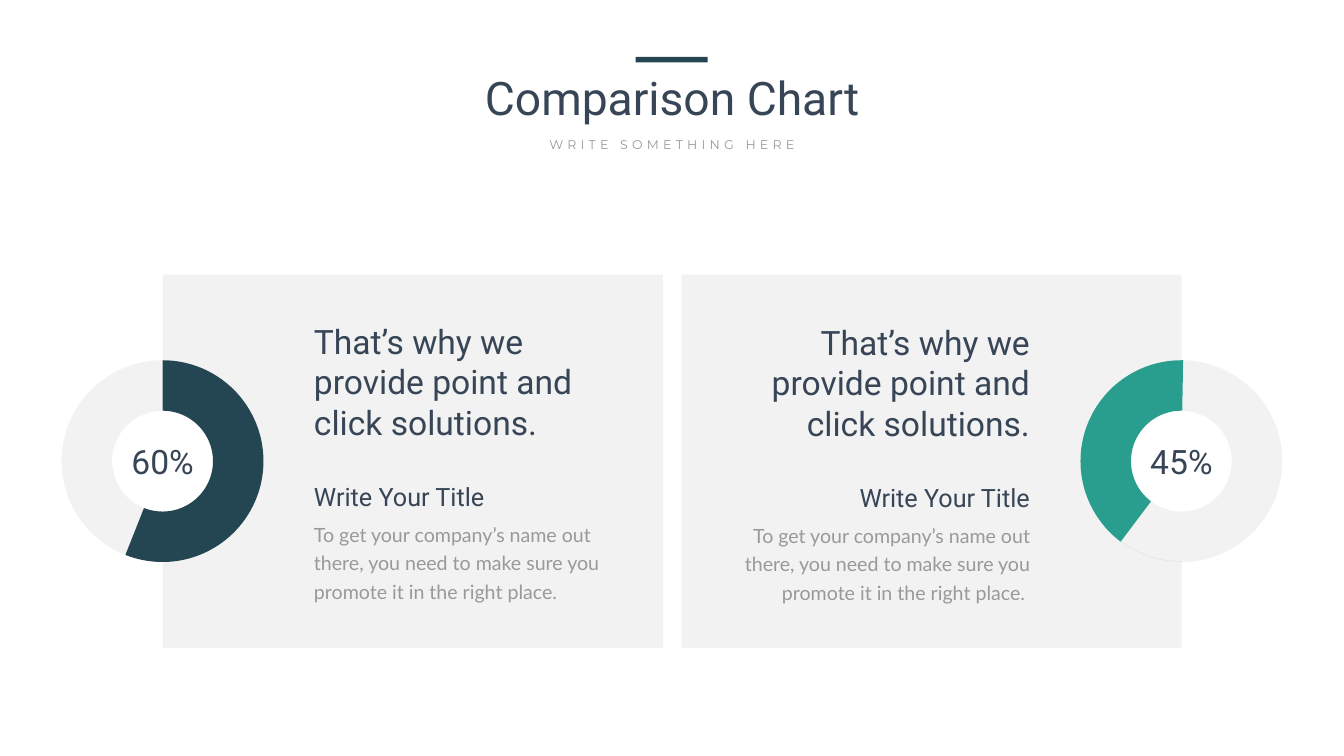
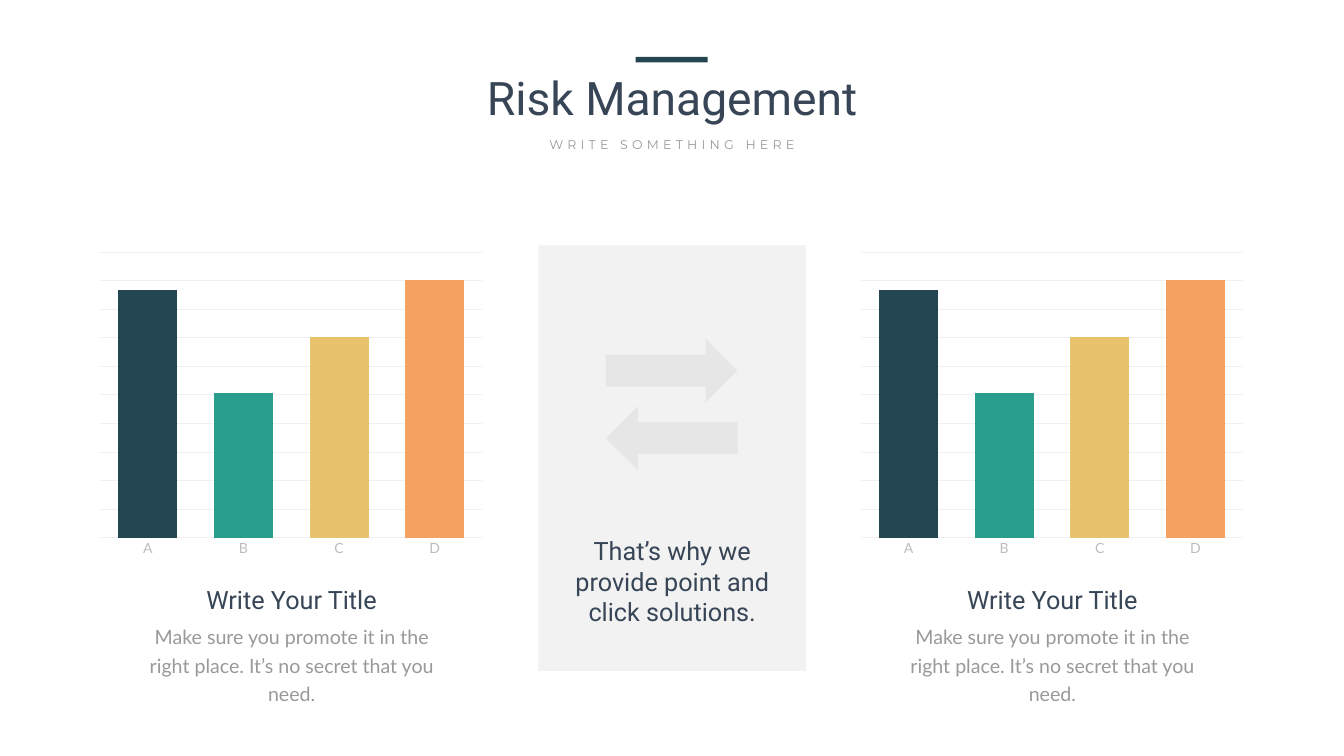
import pptx
import pptx.util
import pptx.chart.data
import pptx.dml.color
import pptx.enum.chart
import pptx.enum.shapes
import pptx.enum.text
import pptx.oxml
import pptx.oxml.ns

RGB = pptx.dml.color.RGBColor
PAPER = RGB(0xFE, 0xFF, 0xFE)
WHITE = RGB(0xFF, 0xFF, 0xFF)
INK = RGB(0x37, 0x45, 0x56)
MUTED = RGB(0x99, 0x99, 0x99)
LABEL = RGB(0xBD, 0xBD, 0xBD)
RULE = RGB(0xF0, 0xF0, 0xF0)
GREY = RGB(0x80, 0x80, 0x80)
NAVY = RGB(0x24, 0x46, 0x53)
TEAL = RGB(0x29, 0x9D, 0x8E)
YELLOW = RGB(0xE9, 0xC3, 0x6B)
ORANGE = RGB(0xF4, 0xA2, 0x60)

PX = 9144
VEIL = 10
SHAPE = pptx.enum.shapes.MSO_SHAPE
ALIGN = pptx.enum.text.PP_ALIGN
CHART = pptx.enum.chart.XL_CHART_TYPE
qn = pptx.oxml.ns.qn

SUBTITLE = "WRITE SOMETHING HERE"
SLOGAN = "That’s why we provide point and click solutions."
HEADING = "Write Your Title"
PLACE = "To get your company’s name out there, you need to make sure you promote it in the right place."
SECRET = "Make sure you promote it in the right place. It’s no secret that you need."

SIDES = [
    dict(panel=323, disc=(125, 719), ring=95, share="60%", label=(188, 869),
         values=(56, 44), start=0, color=NAVY, align=ALIGN.LEFT,
         text=613, heading=613, top=632, body=PLACE),
    dict(panel=1352, disc=(2144, 717), ring=2116, share="45%", label=(2209, 870),
         values=(40, 60), start=217, color=TEAL, align=ALIGN.RIGHT,
         text=1439, heading=1480, top=634, body=PLACE + " "),
]
BARS = [("A", 96, NAVY), ("B", 56, TEAL), ("C", 78, YELLOW), ("D", 100, ORANGE)]
BAR_LEFTS = [183, 1692]
GRID_STEP = 11.1


def box(*lengths):
    return [pptx.util.Emu(n * PX) for n in lengths]


def paint(fill, color, owner, alpha=None):
    fill.solid()
    fill.fore_color.rgb = color
    if alpha:
        clr = next(owner.iter(qn("a:srgbClr")))
        clr.append(pptx.oxml.parse_xml(
            f'<a:alpha {pptx.oxml.ns.nsdecls("a")} val="{alpha * 1000}"/>'))


def add_block(slide, kind, place, color, alpha=None):
    sp = slide.shapes.add_shape(kind, *box(*place))
    sp.shadow.inherit = False
    paint(sp.fill, color, sp._element, alpha)
    sp.line.fill.background()
    return sp


def write(sp, text, size, font="Roboto", color=INK, align=ALIGN.CENTER, pitch=None):
    tf = sp.text_frame
    tf.word_wrap = True
    tf.auto_size = pptx.enum.text.MSO_AUTO_SIZE.NONE
    tf.vertical_anchor = pptx.enum.text.MSO_ANCHOR.TOP
    tf.text = text
    p = tf.paragraphs[0]
    p.alignment = align
    if pitch:
        p.line_spacing = pptx.util.Pt(pitch)
    r = p.runs[0]
    r.font.size = pptx.util.Pt(size)
    r.font.name = font
    r.font.color.rgb = color
    return r


def add_text(slide, place, text, size, **style):
    return write(slide.shapes.add_textbox(*box(*place)), text, size, **style)


def add_body(slide, place, text, align):
    add_text(slide, place, text, 28, font="Lato", color=MUTED, align=align, pitch=40.8)


def add_slide(prs, title):
    slide = prs.slides.add_slide(prs.slide_layouts[5])
    sp = slide.shapes.title
    sp.left, sp.top, sp.width, sp.height = box(774, 132, 1119, 121)
    write(sp, title, 66)
    r = add_text(slide, (1035, 266, 596, 40), SUBTITLE, 18, font="Montserrat", color=MUTED)
    r._r.get_or_add_rPr().set("spc", "600")
    add_block(slide, SHAPE.RECTANGLE, (1261, 113, 143, 11), NAVY)
    return slide


def add_chart(slide, kind, place, cats, values, area, font, size):
    data = pptx.chart.data.CategoryChartData()
    data.categories = cats
    data.add_series("Series 1", values)
    chart = slide.shapes.add_chart(kind, *box(*place), data).chart
    chart.has_title = False
    chart.has_legend = False
    chart.font.name = font
    chart.font.size = pptx.util.Pt(size)
    chart.font.color.rgb = MUTED
    plot_area = chart._chartSpace.chart.plotArea
    for old in plot_area.findall(qn("c:layout")):
        plot_area.remove(old)
    parts = "".join(f'<c:{n} val="{v}"/>' for n, v in zip("xywh", area))
    plot_area.insert(0, pptx.oxml.parse_xml(
        f'<c:layout {pptx.oxml.ns.nsdecls("c")}><c:manualLayout><c:layoutTarget val="inner"/>'
        f'<c:xMode val="edge"/><c:yMode val="edge"/>{parts}</c:manualLayout></c:layout>'))
    return chart


def paint_points(chart, colors):
    points = chart.plots[0].series[0].points
    for i, (color, alpha) in enumerate(colors):
        fmt = points[i].format
        paint(fmt.fill, color, points[i]._element if hasattr(points[i], "_element")
              and False else fmt._element, alpha)
        fmt.line.fill.background()


def add_ring(slide, side):
    chart = add_chart(slide, CHART.DOUGHNUT, (side["ring"], 702, 455, 426), ["1", "2"],
                      side["values"], (0.06, 0.03, 0.88, 0.94), "Calibri", 10)
    plot = chart.plots[0]
    plot.has_data_labels = False
    plot._element.find(qn("c:holeSize")).set("val", "75")
    plot._element.find(qn("c:firstSliceAng")).set("val", str(side["start"]))
    paint_points(chart, [(side["color"], None), (GREY, VEIL)])


def add_bars(slide, left):
    names, values, colors = zip(*BARS)
    chart = add_chart(slide, CHART.COLUMN_CLUSTERED, (left, 487, 790, 630), names,
                      values, (0.02, 0.02, 0.96, 0.9), "Lato", 20)
    plot = chart.plots[0]
    plot.gap_width = 62
    plot.overlap = -27
    plot.vary_by_categories = False
    paint_points(chart, [(color, None) for color in colors])
    axis = chart.value_axis
    axis.minimum_scale = 0
    axis.maximum_scale = 10 * GRID_STEP
    axis.major_unit = GRID_STEP
    axis.visible = False
    cat = chart.category_axis
    cat.major_tick_mark = pptx.enum.chart.XL_TICK_MARK.NONE
    cat.tick_labels.font.size = pptx.util.Pt(20)
    cat.tick_labels.font.name = "Lato"
    cat.tick_labels.font.color.rgb = LABEL
    for line in (axis.major_gridlines.format.line, cat.format.line):
        line.color.rgb = RULE
        line.width = pptx.util.Pt(0.75)


def build_comparison(prs):
    slide = add_slide(prs, "Comparison Chart")
    for side in SIDES:
        add_block(slide, SHAPE.RECTANGLE, (side["panel"], 545, 992, 741), GREY, VEIL)
    for side in SIDES:
        left, top, align = side["text"], side["top"], side["align"]
        add_block(slide, SHAPE.OVAL, (*side["disc"], 396, 396), WHITE)
        add_ring(slide, side)
        add_text(slide, (*side["label"], 269, 91), side["share"], 48)
        add_text(slide, (left, top, 614, 252), SLOGAN, 48, align=align)
        add_text(slide, (side["heading"], top + 319, 573, 71), HEADING, 36, align=align)
        add_body(slide, (left, top + 390, 614, 177), side["body"], align)


def build_risk(prs):
    slide = add_slide(prs, "Risk Management")
    add_block(slide, SHAPE.RECTANGLE, (1068, 487, 531, 844), GREY, VEIL)
    add_text(slide, (1101, 1058, 465, 192), SLOGAN, 36)
    for top, turn in [(672, 0), (806, 180)]:
        arrow = add_block(slide, SHAPE.RIGHT_ARROW, (1202, top, 261, 127), GREY, VEIL)
        arrow.rotation = turn
    for left in BAR_LEFTS:
        add_bars(slide, left)
        add_text(slide, (left + 155, 1154, 481, 71), HEADING, 36)
        add_body(slide, (left + 71, 1225, 649, 120), SECRET, ALIGN.CENTER)


def main():
    prs = pptx.Presentation()
    prs.slide_width, prs.slide_height = box(2666, 1500)
    fill = prs.slide_master.background.fill
    fill.solid()
    fill.fore_color.rgb = PAPER
    build_comparison(prs)
    build_risk(prs)
    prs.save("out.pptx")


if __name__ == "__main__":
    main()
